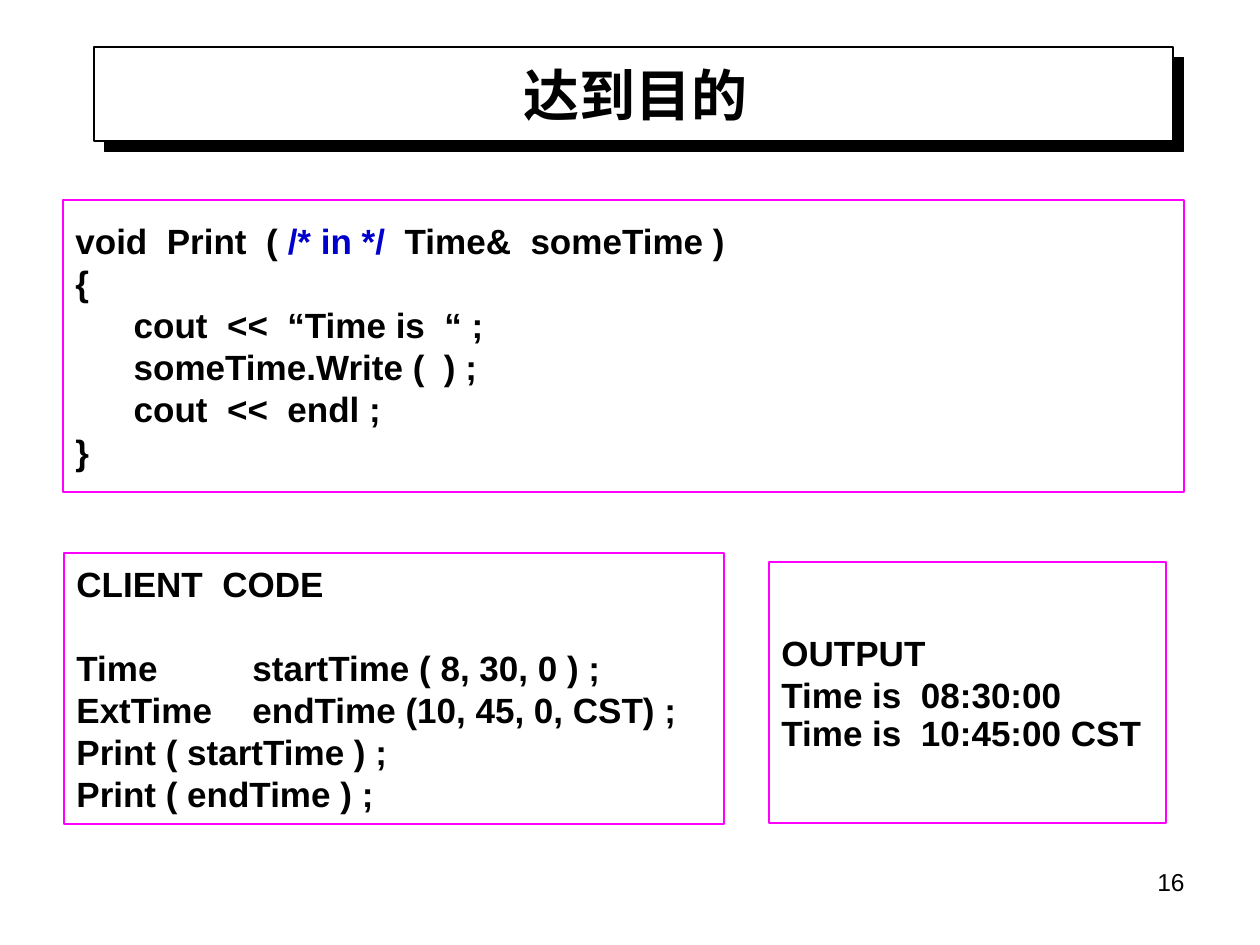
"""Build the C++ slide showing Print, its client code and the output."""
from lxml import etree
from pptx import Presentation
from pptx.dml.color import RGBColor
from pptx.enum.shapes import MSO_SHAPE
from pptx.enum.text import MSO_ANCHOR, PP_ALIGN
from pptx.oxml.ns import qn
from pptx.util import Emu, Pt

RECTANGLE = MSO_SHAPE.RECTANGLE
TOP, MIDDLE = MSO_ANCHOR.TOP, MSO_ANCHOR.MIDDLE
LEFT, CENTER, RIGHT = PP_ALIGN.LEFT, PP_ALIGN.CENTER, PP_ALIGN.RIGHT

PX = 914400 // 126
BLACK, WHITE, MAGENTA, BLUE = "000000", "FFFFFF", "FF00FF", "0000CC"
FONT = "Arial"
LINE_PITCH = 24
VARIABLE_COLUMN = 176

TITLE = "达到目的"
TITLE_FRAME = (94, 47, 1079, 94)
TITLE_AREA = (105, 55, 1062, 79)
PAGE_NUMBER = "16"
PAGE_NUMBER_AREA = (903, 861, 294, 66)

OUTPUT = [
    "OUTPUT",
    "Time is  08:30:00",
    "Time is  10:45:00 CST",
]
PRINT_FUNCTION = [
    [("void  Print  ( ", BLACK), ("/* in */", BLUE), ("  Time&  someTime )", BLACK)],
    "{",
    "      cout  <<  “Time is  “ ;",
    "      someTime.Write (  ) ;",
    "      cout  <<  endl ;",
    "}",
]
CLIENT_CODE = [
    "CLIENT  CODE",
    "Time\tstartTime ( 8, 30, 0 ) ;",
    "ExtTime\tendTime (10, 45, 0, CST) ;",
    "Print ( startTime ) ;",
    "Print ( endTime ) ;",
]
PANELS = [
    ((769, 562, 397, 261), OUTPUT),
    ((63, 200, 1121, 292), PRINT_FUNCTION),
    ((64, 553, 660, 271), CLIENT_CODE),
]


def color(value):
    return RGBColor.from_string(value)


def place(area):
    return [Emu(length * PX) for length in area]


def add_frame(slide, area, outline, width):
    frame = slide.shapes.add_shape(RECTANGLE, *place(area))
    frame.shadow.inherit = False
    frame.line.color.rgb = color(outline)
    frame.line.width = Pt(width)
    return frame


def add_hard_shadow(frame):
    effects = frame._element.spPr.find(qn("a:effectLst"))
    shadow = etree.SubElement(effects, qn("a:outerShdw"), blurRad="0",
                              dist=str(Pt(8.5)), dir="2700000",
                              algn="ctr", rotWithShape="0")
    etree.SubElement(shadow, qn("a:srgbClr"), val=BLACK)


def add_variable_tab(paragraph):
    stops = etree.SubElement(paragraph._p.get_or_add_pPr(), qn("a:tabLst"))
    etree.SubElement(stops, qn("a:tab"), pos=str(VARIABLE_COLUMN * PX), algn="l")


def write(shape, lines, size, bold, align, anchor, pitch=None):
    text = shape.text_frame
    text.word_wrap = True
    text.vertical_anchor = anchor
    paragraphs = []
    for index, line in enumerate(lines):
        paragraph = text.paragraphs[0] if index == 0 else text.add_paragraph()
        paragraph.alignment = align
        if pitch:
            paragraph.line_spacing = Pt(pitch)
        if "\t" in line:
            add_variable_tab(paragraph)
        font = paragraph.font
        font.name, font.size, font.bold = FONT, Pt(size), bold
        if isinstance(line, str):
            font.color.rgb = color(BLACK)
            paragraph.add_run().text = line
        else:
            for words, ink in line:
                run = paragraph.add_run()
                run.text = words
                run.font.color.rgb = color(ink)
        paragraphs.append(paragraph)
    return paragraphs


def add_label(slide, area, words, size, bold, align, anchor):
    label = slide.shapes.add_textbox(*place(area))
    write(label, [words], size, bold, align, anchor)


def main():
    deck = Presentation()
    deck.slide_width, deck.slide_height = place((1260, 945))
    slide = deck.slides.add_slide(deck.slide_layouts[6])

    title_frame = add_frame(slide, TITLE_FRAME, BLACK, 0.75)
    title_frame.fill.solid()
    title_frame.fill.fore_color.rgb = color(WHITE)
    add_hard_shadow(title_frame)
    add_label(slide, TITLE_AREA, TITLE, 32, True, CENTER, MIDDLE)

    for area, lines in PANELS:
        panel = add_frame(slide, area, MAGENTA, 1)
        panel.fill.background()
        paragraphs = write(panel, lines, 20, True, LEFT, MIDDLE, LINE_PITCH)
        if lines is CLIENT_CODE:
            paragraphs[1].space_before = Pt(LINE_PITCH)
        elif lines is OUTPUT:
            paragraphs[-1].line_spacing = Pt(LINE_PITCH * 0.9)

    add_label(slide, PAGE_NUMBER_AREA, PAGE_NUMBER, 14, False, RIGHT, TOP)
    deck.save("out.pptx")


if __name__ == "__main__":
    main()
